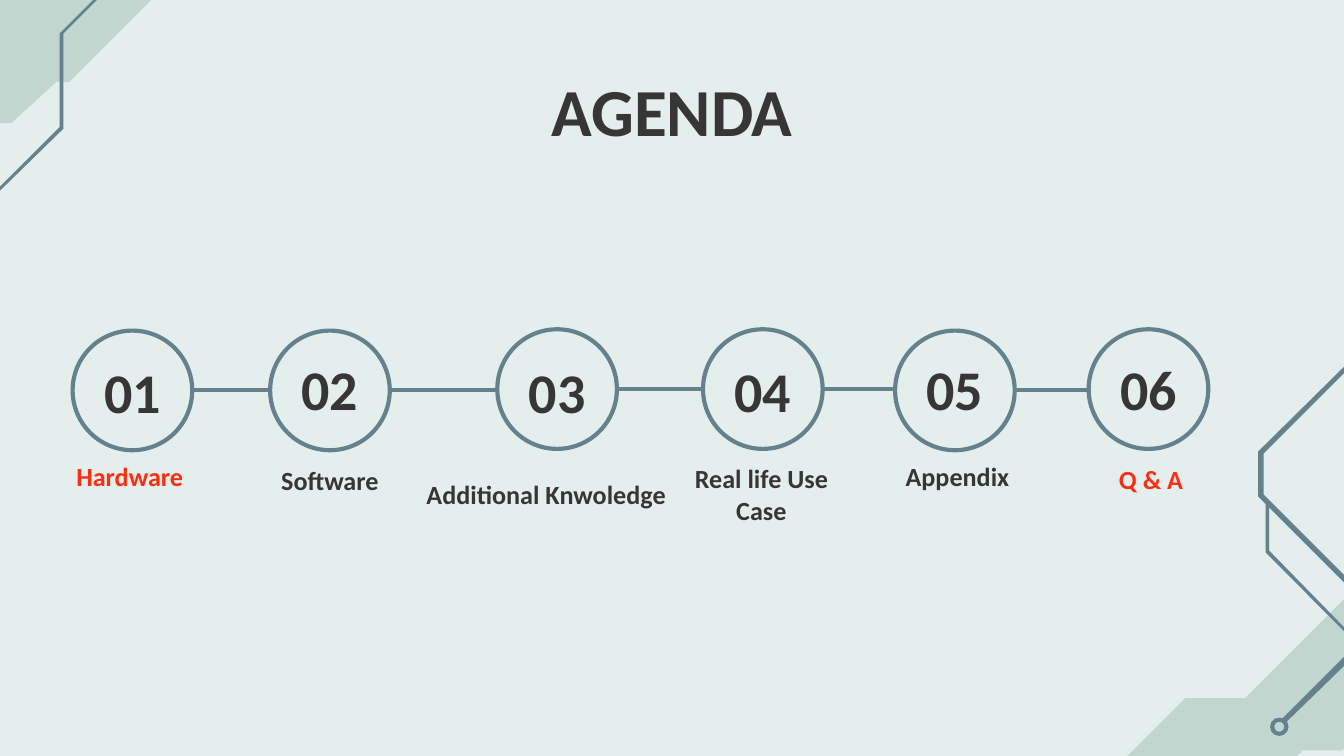
from dataclasses import dataclass

from lxml import etree
from pptx import Presentation
from pptx.dml.color import RGBColor
from pptx.enum.shapes import MSO_CONNECTOR as CONNECTOR, MSO_SHAPE as SHAPE
from pptx.enum.text import MSO_ANCHOR as ANCHOR, MSO_AUTO_SIZE as AUTO_SIZE, PP_ALIGN as ALIGN
from pptx.oxml.ns import qn
from pptx.util import Pt

PALE = RGBColor(0xE3, 0xEE, 0xED)
SAGE = RGBColor(0xC1, 0xD6, 0xCE)
SLATE = RGBColor(0x64, 0x81, 0x8C)
INK = RGBColor(0x38, 0x35, 0x36)
RED = RGBColor(0xFC, 0x2E, 0x12)

FONT = "Calibri"
SLIDE_W, SLIDE_H = 720, 405
CIRCLE = 64.1
NUMBER_W, NUMBER_H = 100, 41.8


@dataclass
class Step:
    label: str
    left: float  # circle, from the left of the timeline
    drop: float  # circle, from the top of the timeline
    number_top: float
    label_shift: float  # label centre, from the circle centre
    label_top: float
    label_w: float = 143.3
    label_h: float = 29.5
    color: RGBColor = INK


STEPS = [
    Step("Hardware", 0, 0.7, 12.2, -1.4, 64.1, color=RED),
    Step("Software", 105.8, 0.7, 10.8, 0, 66.2),
    Step("Additional Knwoledge", 227.5, 0, 12.2, -5.8, 73.4, 182.2),
    Step("Real life Use Case", 337.7, 0, 11.5, -0.7, 68.4, 110.2, 39.6),
    Step("Appendix", 440.6, 0.7, 10.8, 1.4, 64.1),
    Step("Q & A", 544.3, 0, 10.8, 1.4, 65.5, color=RED),
]

# Corner outlines, measured from their own slide corner
TOP_BAND = [(85.7, -51.8), (46.8, -13), (11.5, -13), (-67.7, 66.2), (6.5, 66.2),
            (29.5, 43.9), (37.4, 43.9), (133.2, -51.8)]
TOP_TRACE = [(87.1, -36.7), (32.4, 18), (32.4, 68.4), (-8.6, 109.4),
             (-7.9, 110.2), (33.8, 69.1), (33.8, 18.4), (87.8, -36)]
BOTTOM_BAND = [(19.4, -102.6), (-52.6, -30.6), (-85, -30.6), (-126, 10.4),
               (-126, 29.2), (-151.9, 55.1), (-81.4, 55.1), (-22.3, -3.2),
               (-0.7, -3.2), (41.8, -45.7), (41.8, -57.2), (87.1, -102.6)]
THICK_TRACE = [(157, -310), (87.1, -240.1), (31, -240.1), (31, -239.4),
               (-46.1, -163.1), (-46.1, -138.6), (0.7, -91.8), (0.7, -53.6),
               (-33.8, -19.1), (-31.7, -16.9), (3.6, -52.2), (3.6, -93.2),
               (-43.2, -140), (-43.2, -161.6), (32.4, -237.2), (87.8, -237.2),
               (88.6, -238), (159.1, -308.5)]
THIN_TRACE = [(-41.8, -135.7), (-41.8, -109.1), (1.4, -65.9), (2.2, -66.6),
              (-40.3, -109.8), (-40.3, -135.7)]


def fill_plain(shape, color):
    shape.shadow.inherit = False
    shape.fill.solid()
    shape.fill.fore_color.rgb = color
    shape.line.fill.background()


def add_outline(slide, corner, points, color):
    x, y = corner
    placed = [(x + dx, y + dy) for dx, dy in points]
    builder = slide.shapes.build_freeform(*placed[0], scale=Pt(1))
    builder.add_line_segments(placed[1:], close=True)
    fill_plain(builder.convert_to_shape(), color)


def write_text(box, text, size, color, anchor):
    frame = box.text_frame
    frame.word_wrap = True
    frame.auto_size = AUTO_SIZE.NONE
    frame.vertical_anchor = anchor
    frame.margin_left = frame.margin_right = Pt(7.2)
    frame.margin_top = frame.margin_bottom = Pt(7.2)
    paragraph = frame.paragraphs[0]
    paragraph.alignment = ALIGN.CENTER
    run = paragraph.add_run()
    run.text = text
    run.font.name = FONT
    run.font.size = Pt(size)
    run.font.bold = True
    run.font.color.rgb = color


def add_centred_text(slide, center, top, width, height, text, size, color):
    box = slide.shapes.add_textbox(Pt(center - width / 2), Pt(top), Pt(width), Pt(height))
    write_text(box, text, size, color, ANCHOR.MIDDLE)


def add_top_corner(slide, corner):
    add_outline(slide, corner, TOP_BAND, SAGE)
    add_outline(slide, corner, TOP_TRACE, SLATE)


def add_bottom_corner(slide, corner):
    add_outline(slide, corner, BOTTOM_BAND, SAGE)
    add_outline(slide, corner, THICK_TRACE, SLATE)
    add_outline(slide, corner, THIN_TRACE, SLATE)
    # Ring at the end of the thick trace
    x, y = corner
    ring = slide.shapes.add_shape(SHAPE.DONUT, Pt(x - 39.6), Pt(y - 20.6), Pt(9.9), Pt(9.9))
    ring.adjustments[0] = 0.23
    fill_plain(ring, SLATE)


def add_title(slide, left, top, width, height):
    title = slide.shapes.title
    title.left, title.top = Pt(left), Pt(top)
    title.width, title.height = Pt(width), Pt(height)
    write_text(title, "AGENDA", 36, INK, ANCHOR.TOP)


def add_link(slide, start, end, y):
    link = slide.shapes.add_connector(CONNECTOR.STRAIGHT, Pt(start), Pt(y), Pt(end), Pt(y))
    link.line.color.rgb = SLATE
    link.line.width = Pt(2.25)
    etree.SubElement(link._element.spPr, qn("a:effectLst"))


def add_step(slide, left, top, number, step):
    x = left + step.left
    center = x + CIRCLE / 2
    circle = slide.shapes.add_shape(SHAPE.OVAL, Pt(x), Pt(top + step.drop), Pt(CIRCLE), Pt(CIRCLE))
    circle.shadow.inherit = False
    circle.fill.background()
    circle.line.color.rgb = SLATE
    circle.line.width = Pt(2.25)
    add_centred_text(slide, center, top + step.number_top, NUMBER_W, NUMBER_H,
                     f"{number:02}", 30, INK)
    add_centred_text(slide, center + step.label_shift, top + step.label_top,
                     step.label_w, step.label_h, step.label, 14, step.color)


def add_timeline(slide, left, top):
    for step, following in zip(STEPS, STEPS[1:]):
        add_link(slide, left + step.left + CIRCLE, left + following.left,
                 top + step.drop + CIRCLE / 2)
    for number, step in enumerate(STEPS, 1):
        add_step(slide, left, top, number, step)


def main():
    deck = Presentation()
    deck.slide_width, deck.slide_height = Pt(SLIDE_W), Pt(SLIDE_H)
    slide = deck.slides.add_slide(deck.slide_layouts[5])
    slide.background.fill.solid()
    slide.background.fill.fore_color.rgb = PALE

    add_top_corner(slide, (0, 0))
    add_bottom_corner(slide, (SLIDE_W, SLIDE_H))
    add_title(slide, 56.7, 30.2, 606.6, 46.8)
    add_timeline(slide, 38.9, 176.4)
    deck.save("out.pptx")


if __name__ == "__main__":
    main()
